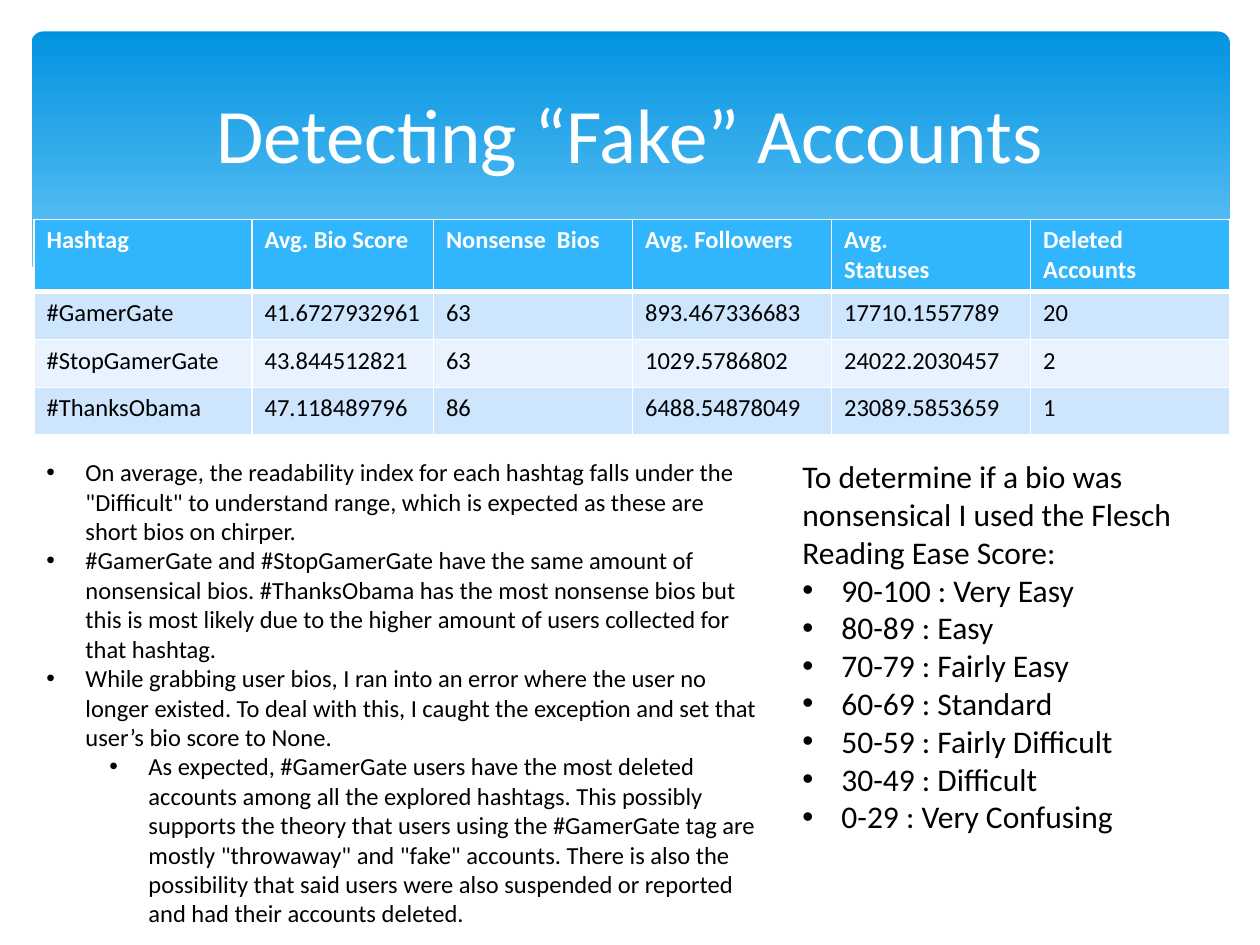
from lxml.etree import SubElement
from pptx import Presentation
from pptx.dml.color import RGBColor
from pptx.enum.shapes import MSO_SHAPE
from pptx.enum.text import MSO_ANCHOR, PP_ALIGN
from pptx.oxml import parse_xml
from pptx.oxml.ns import nsdecls, qn
from pptx.util import Inches, Pt

FONT = "Calibri"
WHITE = RGBColor(0xFF, 0xFF, 0xFF)
BLACK = RGBColor(0, 0, 0)
BANNER_TOP = RGBColor(0x02, 0x93, 0xE0)
BANNER_BOTTOM = RGBColor(0x83, 0xD3, 0xFE)
HEADER = RGBColor(0x31, 0xB6, 0xFD)
BANDS = (RGBColor(0xCE, 0xE5, 0xFE), RGBColor(0xE8, 0xF3, 0xFF))

TITLE = "Detecting “Fake” Accounts"
ROWS = [
    ("Hashtag", "Avg. Bio Score", "Nonsense  Bios", "Avg. Followers",
     "Avg.\nStatuses", "Deleted\nAccounts"),
    ("#GamerGate", "41.6727932961", "63", "893.467336683", "17710.1557789", "20"),
    ("#StopGamerGate", "43.844512821", "63", "1029.5786802", "24022.2030457", "2"),
    ("#ThanksObama", "47.118489796", "86", "6488.54878049", "23089.5853659", "1"),
]
COLUMN_WIDTHS = (1.73, 1.44, 1.58, 1.58, 1.58, 1.58)
ROW_HEIGHTS = (0.57, 0.38, 0.38, 0.38)

# Each paragraph is (bullet level, text); None means no bullet.
FINDINGS = [
    (0, 'On average, the readability index for each hashtag falls under the "Difficult" '
        "to understand range, which is expected as these are short bios on chirper."),
    (0, "#GamerGate and #StopGamerGate have the same amount of nonsensical bios. "
        "#ThanksObama has the most nonsense bios but this is most likely due to the "
        "higher amount of users collected for that hashtag."),
    (0, "While grabbing user bios, I ran into an error where the user no longer existed. "
        "To deal with this, I caught the exception and set that user’s bio score to None."),
    (1, "As expected, #GamerGate users have the most deleted accounts among all the "
        "explored hashtags. This possibly supports the theory that users using the "
        '#GamerGate tag are mostly "throwaway" and "fake" accounts. There is also the '
        "possibility that said users were also suspended or reported and had their "
        "accounts deleted."),
]
SCORES = [
    ("90-100", "Very Easy"), ("80-89", "Easy"), ("70-79", "Fairly Easy"),
    ("60-69", "Standard"), ("50-59", "Fairly Difficult"), ("30-49", "Difficult"),
    ("0-29", "Very Confusing"),
]
SCALE = [(None, "To determine if a bio was nonsensical I used the Flesch Reading Ease Score:")]
SCALE += [(0, f"{score} : {meaning}") for score, meaning in SCORES]

WAVE = [
    (0.23, 2.13), (0.59, 1.99), (1.06, 1.89), (1.77, 1.84), (2.5, 1.86), (3.4, 1.97),
    (4.47, 2.2), (5.55, 2.45), (6.48, 2.62), (7.26, 2.72), (8.09, 2.77), (8.75, 2.73),
    (9.3, 2.62), (9.77, 2.46), (9.77, 3.29), (0.23, 3.29),
]


def format_text(frame, **values):
    """Apply font values to every run of a text frame."""
    for paragraph in frame.paragraphs:
        for run in paragraph.runs:
            run.font.name = FONT
            run.font.color.rgb = values.get("color", BLACK)
            for name in ("size", "bold"):
                if name in values:
                    setattr(run.font, name, values[name])


def add_bullet(paragraph, level):
    """Give a paragraph a hanging round bullet."""
    paragraph.level = level
    properties = paragraph._p.get_or_add_pPr()
    properties.set("marL", str(Inches(0.31 + 0.5 * level)))
    properties.set("indent", str(Inches(-0.31)))
    SubElement(properties, qn("a:buFont"), typeface="Arial")
    SubElement(properties, qn("a:buChar"), char="•")


def add_text(slide, box, paragraphs, **values):
    """Add a wrapped text box and return its text frame."""
    frame = slide.shapes.add_textbox(*map(Inches, box)).text_frame
    frame.word_wrap = True
    frame.text = "\n".join(text for _, text in paragraphs)
    for paragraph, (level, _) in zip(frame.paragraphs, paragraphs):
        if level is not None:
            add_bullet(paragraph, level)
    format_text(frame, **values)
    return frame


def add_banner(slide):
    """Draw the gradient banner and the white wave that cuts it off."""
    banner = slide.shapes.add_shape(
        MSO_SHAPE.ROUNDED_RECTANGLE, *map(Inches, (0.25, 0.25, 9.51, 2.7)))
    banner.adjustments[0] = 0.034
    banner.fill.gradient()
    banner.fill.gradient_angle = 270
    stops = ((0, BANNER_TOP), (0.9, BANNER_BOTTOM))
    for stop, (position, color) in zip(banner.fill.gradient_stops, stops):
        stop.position = position
        stop.color.rgb = color
    points = [(Inches(x), Inches(y)) for x, y in WAVE]
    builder = slide.shapes.build_freeform(*points[0])
    builder.add_line_segments(points[1:], close=True)
    wave = builder.convert_to_shape()
    wave.fill.solid()
    wave.fill.fore_color.rgb = WHITE
    for shape in (banner, wave):
        shape.line.fill.background()
        shape.shadow.inherit = False


def set_borders(cell, top, bottom):
    """Draw white borders, with top and bottom widths in points."""
    properties = cell._tc.get_or_add_tcPr()
    sides = (("L", 1), ("R", 1), ("T", top), ("B", bottom))
    for index, (side, width) in enumerate(sides):
        properties.insert(index, parse_xml(
            f'<a:ln{side} {nsdecls("a")} w="{Pt(width)}"><a:solidFill>'
            f'<a:srgbClr val="{WHITE}"/></a:solidFill></a:ln{side}>'))


def add_results(slide):
    """Add the table of hashtag averages."""
    box = (0.27, 1.74, sum(COLUMN_WIDTHS), sum(ROW_HEIGHTS))
    table = slide.shapes.add_table(
        len(ROWS), len(COLUMN_WIDTHS), *map(Inches, box)).table
    for column, width in zip(table.columns, COLUMN_WIDTHS):
        column.width = Inches(width)
    for index, (values, height) in enumerate(zip(ROWS, ROW_HEIGHTS)):
        table.rows[index].height = Inches(height)
        is_header = index == 0
        for cell, value in zip(table.rows[index].cells, values):
            cell.text = value
            format_text(cell.text_frame, size=Pt(14), bold=is_header,
                        color=WHITE if is_header else BLACK)
            cell.fill.solid()
            cell.fill.fore_color.rgb = HEADER if is_header else BANDS[(index - 1) % 2]
            set_borders(cell, 3 if index == 1 else 1, 3 if is_header else 1)


def build():
    """Build and save the slide."""
    presentation = Presentation()
    presentation.slide_width, presentation.slide_height = Inches(10), Inches(7.5)
    slide = presentation.slides.add_slide(presentation.slide_layouts[6])
    add_banner(slide)
    add_results(slide)
    title = add_text(slide, (0.5, 0.37, 9, 1.37), [(None, TITLE)],
                     size=Pt(44), color=WHITE)
    title.vertical_anchor = MSO_ANCHOR.MIDDLE
    title.paragraphs[0].alignment = PP_ALIGN.CENTER
    add_text(slide, (0.27, 3.58, 5.85, 3.87), FINDINGS, size=Pt(14))
    add_text(slide, (6.27, 3.58, 3.49, 3.13), SCALE, size=Pt(18))
    presentation.save("out.pptx")


build()
